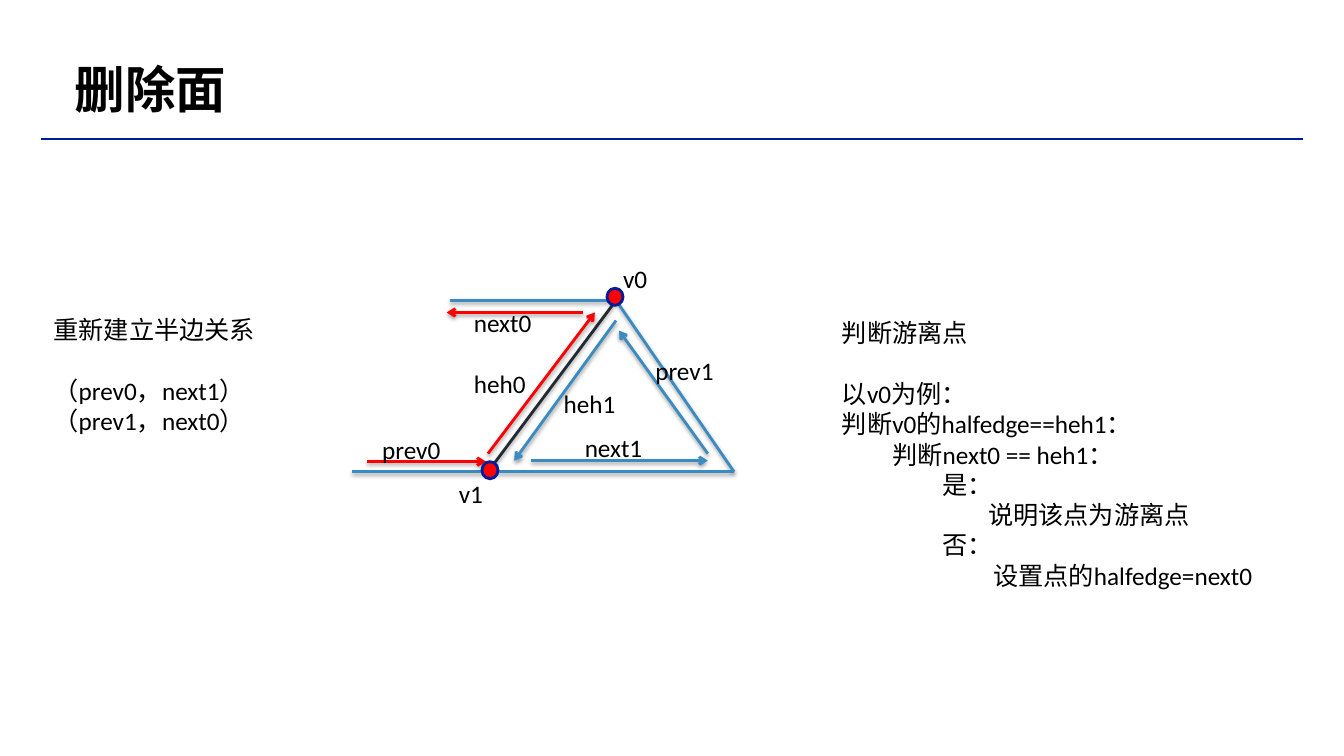
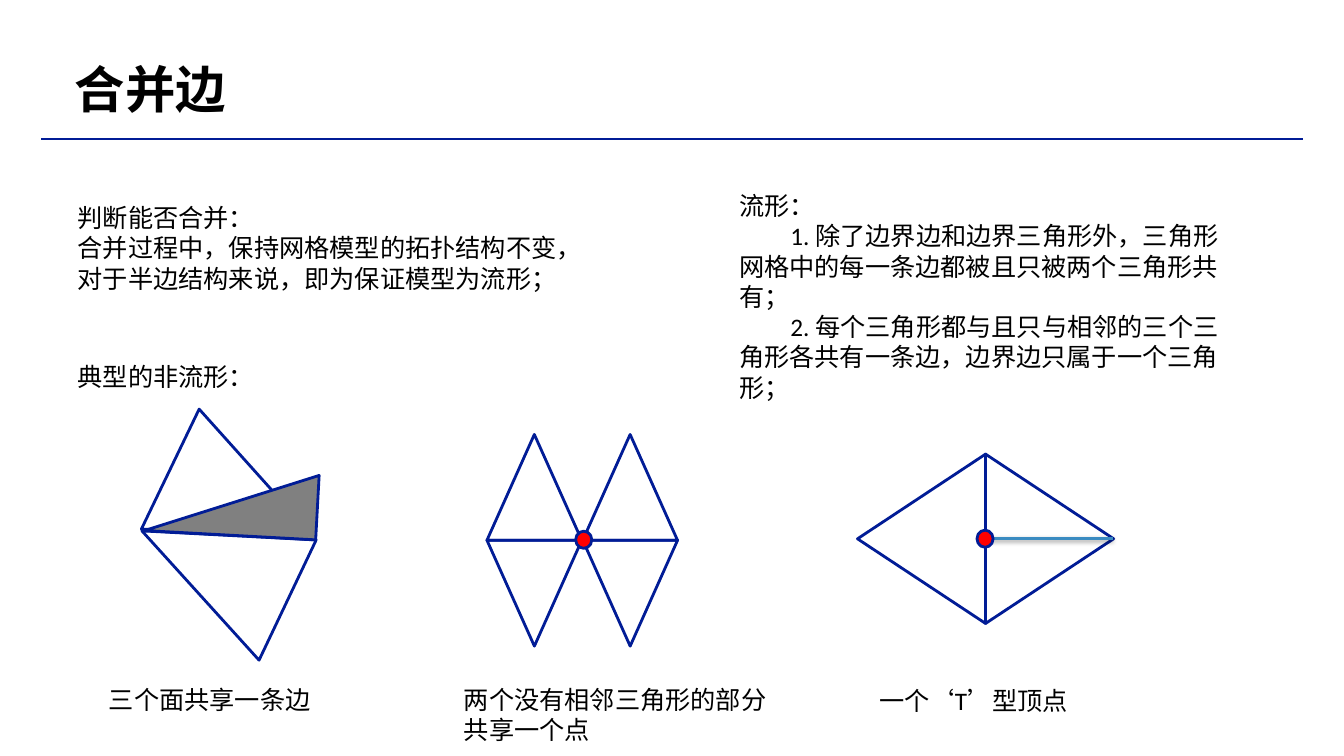
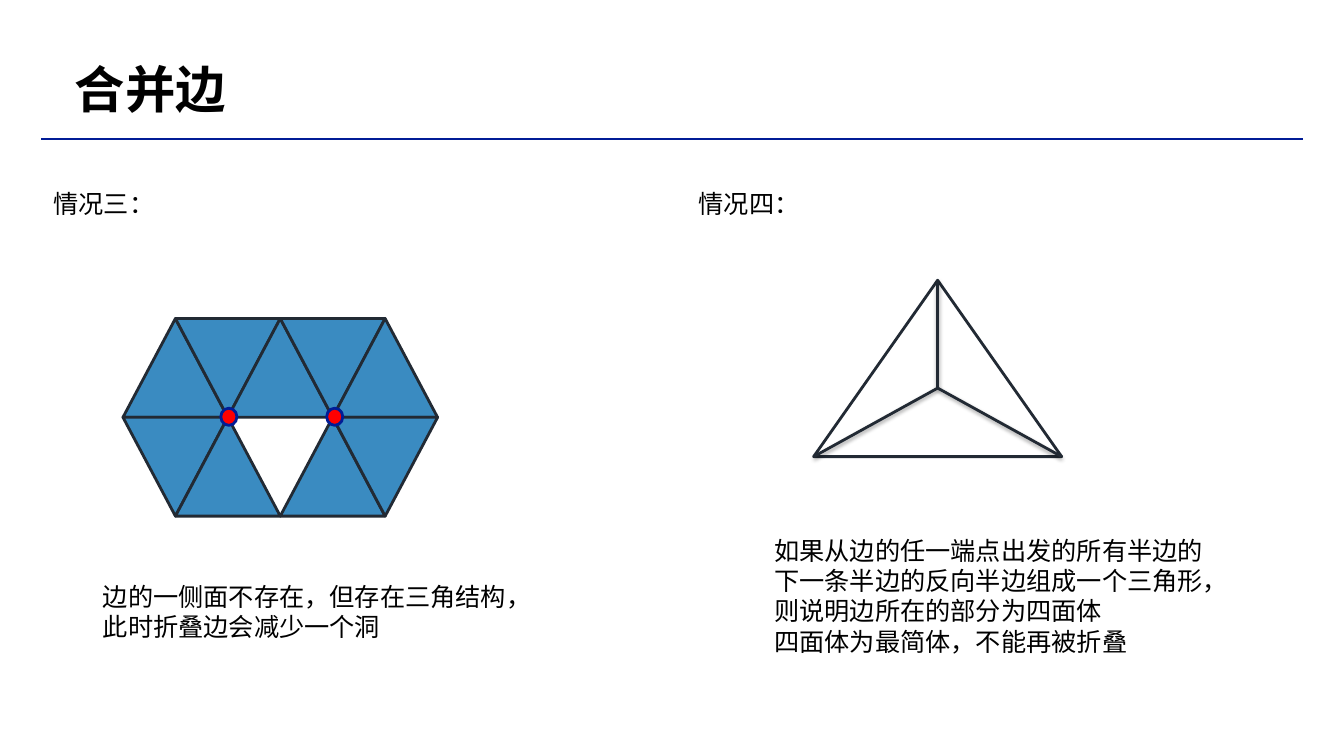
from dataclasses import dataclass
from typing import Optional

from lxml.etree import SubElement
from pptx import Presentation
from pptx.dml.color import RGBColor
from pptx.enum.shapes import MSO_CONNECTOR as Connector, MSO_SHAPE as Preset
from pptx.enum.text import MSO_ANCHOR as Anchor, MSO_AUTO_SIZE as AutoSize, PP_ALIGN as Align
from pptx.oxml.ns import qn
from pptx.util import Inches, Pt

FONT = "Calibri"
BLACK, NAVY, BLUE = "000000", "011C96", "3A8BC1"
SLATE, RED, GRAY = "222A34", "FF0000", "808080"
INSET = 0.05
LINE_HEIGHT = 22
TITLE_ONLY, TITLE_AND_BODY = 5, 1


@dataclass
class Para:
    text: str
    indent: float = 0
    first: float = 0
    before: float = 0


@dataclass
class Label:
    left: float
    top: float
    text: str
    width: float = 1.13


@dataclass
class Edge:
    start: tuple
    end: tuple
    color: str = BLUE
    arrow: bool = False


@dataclass
class Triangle:
    left: float
    top: float
    width: float
    height: float
    rotation: float = 0
    fill: Optional[str] = None
    color: str = NAVY
    preset: Preset = Preset.ISOSCELES_TRIANGLE
    flipped: bool = False


def rgb(value: str) -> RGBColor:
    """Turn a hex string into a colour."""
    return RGBColor.from_string(value)


def write(frame, paras: list, size: float = 18, bold: bool = False,
          anchor: Anchor = Anchor.TOP, fit: AutoSize = AutoSize.SHAPE_TO_FIT_TEXT,
          line_spacing: float = 1.0) -> None:
    """Fill a text frame with formatted paragraphs."""
    frame.word_wrap = True
    frame.auto_size = fit
    frame.vertical_anchor = anchor
    frame.margin_left = frame.margin_right = Inches(INSET)
    frame.margin_top = frame.margin_bottom = Inches(INSET)
    for index, item in enumerate(paras):
        para = frame.add_paragraph() if index else frame.paragraphs[0]
        para.alignment = Align.LEFT
        para.space_before = Pt(item.before)
        para.line_spacing = line_spacing
        properties = para._p.get_or_add_pPr()
        properties.set("marL", str(Inches(item.indent)))
        properties.set("indent", str(Inches(item.first)))
        SubElement(properties, qn("a:buNone"))
        span = para.add_run()
        span.text = item.text
        span.font.name = FONT
        span.font.size = Pt(size)
        span.font.bold = bold
        span.font.color.rgb = rgb(BLACK)


def place(shape, left: float, top: float, width: float, height: float) -> None:
    """Move and size a placeholder."""
    shape.left, shape.top = Inches(left), Inches(top)
    shape.width, shape.height = Inches(width), Inches(height)


def add_text(page, left: float, top: float, width: float, *paras: Para,
             height: float = 0.4) -> None:
    """Add a text box that holds the paragraphs."""
    box = page.shapes.add_textbox(Inches(left), Inches(top), Inches(width), Inches(height))
    write(box.text_frame, list(paras))


def add_label(page, label: Label) -> None:
    """Add a one-paragraph text box."""
    add_text(page, label.left, label.top, label.width, Para(label.text))


def add_edge(page, edge: Edge, weight: float = 2, shadow: bool = True) -> None:
    """Draw a straight line, with an arrowhead and a soft shadow if wanted."""
    points = [Inches(value) for value in (*edge.start, *edge.end)]
    line = page.shapes.add_connector(Connector.STRAIGHT, *points)
    line.line.color.rgb = rgb(edge.color)
    line.line.width = Pt(weight)
    properties = line._element.spPr
    if edge.arrow:
        SubElement(properties.find(qn("a:ln")), qn("a:tailEnd"), type="arrow")
    effects = SubElement(properties, qn("a:effectLst"))
    if shadow:
        outer = SubElement(effects, qn("a:outerShdw"), blurRad=str(Pt(3)),
                           dist=str(Pt(1.6)), dir="5400000", rotWithShape="0")
        color = SubElement(outer, qn("a:srgbClr"), val=BLACK)
        SubElement(color, qn("a:alpha"), val="38000")


def add_outline(page, preset: Preset, left: float, top: float, width: float,
                height: float, fill: Optional[str], color: str):
    """Add a flat preset shape with a two-point outline."""
    shape = page.shapes.add_shape(preset, Inches(left), Inches(top),
                                  Inches(width), Inches(height))
    shape.shadow.inherit = False
    if fill:
        shape.fill.solid()
        shape.fill.fore_color.rgb = rgb(fill)
    else:
        shape.fill.background()
    shape.line.color.rgb = rgb(color)
    shape.line.width = Pt(2)
    return shape


def add_triangle(page, triangle: Triangle) -> None:
    """Draw one mesh face."""
    shape = add_outline(page, triangle.preset, triangle.left, triangle.top, triangle.width,
                        triangle.height, triangle.fill, triangle.color)
    shape.rotation = triangle.rotation
    if triangle.flipped:
        shape._element.spPr.find(qn("a:xfrm")).set("flipH", "1")


def add_vertex(page, left: float, top: float) -> None:
    """Draw a red mesh vertex."""
    add_outline(page, Preset.OVAL, left, top, 0.16, 0.17, RED, NAVY)


def start_page(deck, title: str, layout: int = TITLE_ONLY):
    """Add a slide with the shared title and rule."""
    page = deck.slides.add_slide(deck.slide_layouts[layout])
    place(page.shapes.title, 0.69, 0.58, 7.63, 0.66)
    write(page.shapes.title.text_frame, [Para(title)], size=36, bold=True,
          anchor=Anchor.MIDDLE, fit=AutoSize.NONE, line_spacing=0.9)
    add_edge(page, Edge((0.41, 1.38), (12.92, 1.38), NAVY), weight=1.5, shadow=False)
    return page


def build_delete_face(deck) -> None:
    """Build the slide on deleting a face."""
    page = start_page(deck, "删除面")
    add_text(page, 0.48, 3.07, 2.68, Para("重新建立半边关系"),
             Para("（prev0，next1）", before=LINE_HEIGHT), Para("（prev1，next0）"), height=1.62)
    v0, v1, corner = (6.11, 2.98), (4.84, 4.68), (7.28, 4.68)
    edges = [
        Edge(v0, v1, SLATE),
        Edge(v0, corner),
        Edge(v1, corner),
        Edge(v0, (4.46, 2.98)),
        Edge(v1, (3.49, 4.68)),
        Edge((4.84, 4.5), (5.9, 3.1), RED, True),
        Edge((5.78, 3.1), (4.43, 3.1), RED, True),
        Edge((3.64, 4.58), (4.82, 4.58), RED, True),
        Edge((6.11, 3.18), (5.1, 4.57), BLUE, True),
        Edge((5.27, 4.57), (7.02, 4.57), BLUE, True),
        Edge((7.02, 4.5), (6.14, 3.28), BLUE, True),
    ]
    for edge in edges:
        add_edge(page, edge)
    labels = [
        Label(3.74, 4.26, "prev0"), Label(4.65, 3, "next0"), Label(4.65, 3.6, "heh0"),
        Label(6.45, 3.48, "prev1"), Label(5.75, 4.24, "next1"), Label(5.54, 3.8, "heh1"),
        Label(6.13, 2.56, "v0", 0.38), Label(4.5, 4.7, "v1", 0.38),
    ]
    for label in labels:
        add_label(page, label)
    add_vertex(page, 6.02, 2.86)
    add_vertex(page, 4.78, 4.58)
    add_text(page, 8.3, 3.1, 4.52,
             Para("判断游离点"),
             Para("以v0为例：", before=LINE_HEIGHT),
             Para("判断v0的halfedge==heh1："),
             Para("判断next0 == heh1：", indent=0.5),
             Para("是：", indent=1),
             Para("说明该点为游离点", indent=1.45),
             Para("否：", indent=1),
             Para("设置点的halfedge=next0", indent=1.5), height=2.83)


def build_manifold(deck) -> None:
    """Build the slide on manifold and non-manifold meshes."""
    page = start_page(deck, "合并边", TITLE_AND_BODY)
    add_text(page, 0.72, 1.96, 5.17, Para("判断能否合并："),
             Para("合并过程中，保持网格模型的拓扑结构不变，对于半边结构来说，即为保证模型为流形；"),
             height=1.31)
    body = page.placeholders[1]
    place(body, 7.28, 1.84, 4.96, 2.22)
    write(body.text_frame, [
        Para("流形："),
        Para("1. 除了边界边和边界三角形外，三角形网格中的每一条边都被且只被两个三角形共有；", first=0.51),
        Para("2. 每个三角形都与且只与相邻的三个三角形各共有一条边，边界边只属于一个三角形；", first=0.51),
    ], fit=AutoSize.NONE)
    shared_edge = [
        Triangle(1.47, 4.81, 1.32, 1.6, 295.4),
        Triangle(1.75, 4.2, 1.32, 1.6, 115.7),
        Triangle(1.45, 4.67, 1.7, 0.64, 3.1, GRAY, preset=Preset.RIGHT_TRIANGLE, flipped=True),
    ]
    shared_point = [Triangle(4.83 + 0.95 * column, 4.31 + 1.05 * row, 0.94, 1.05, 180 * row)
                    for column in range(2) for row in range(2)]
    diamond = [Triangle(8.3, 4.71, 1.68, 1.27, 270), Triangle(9.57, 4.71, 1.68, 1.27, 90)]
    for triangle in shared_edge + shared_point + diamond:
        add_triangle(page, triangle)
    add_edge(page, Edge((9.77, 5.34), (11.04, 5.34)))
    add_vertex(page, 5.71, 5.27)
    add_vertex(page, 9.69, 5.26)
    labels = [
        Label(0.72, 3.54, "典型的非流形：", 3.83),
        Label(1.03, 6.74, "三个面共享一条边", 2.6),
        Label(4.55, 6.74, "两个没有相邻三角形的部分共享一个点", 3.12),
        Label(8.67, 6.75, "一个‘T’型顶点", 2.6),
    ]
    for label in labels:
        add_label(page, label)


def build_collapse_cases(deck) -> None:
    """Build the slide on the third and fourth cases."""
    page = start_page(deck, "合并边")
    add_label(page, Label(0.48, 1.82, "情况三：", 2.55))
    width, height, hole = 1.04, 0.98, (1, 2)
    for row in range(2):
        for column in range(5):
            if (row, column) != hole:
                add_triangle(page, Triangle(1.22 + column * width / 2, 3.16 + row * height,
                                            width, height, 180 * ((row + column) % 2),
                                            BLUE, SLATE))
    for left in (2.19, 3.24):
        add_vertex(page, left, 4.05)
    add_text(page, 0.97, 5.72, 4.52, Para("边的一侧面不存在，但存在三角结构，"),
             Para("此时折叠边会减少一个洞"), height=0.71)
    add_label(page, Label(6.88, 1.82, "情况四：", 2.22))
    add_triangle(page, Triangle(8.07, 2.78, 2.46, 1.75, color=SLATE))
    for corner in ((9.3, 2.78), (8.07, 4.53), (10.53, 4.53)):
        add_edge(page, Edge((9.3, 3.85), corner, SLATE))
    add_text(page, 7.63, 5.26, 4.38,
             Para("如果从边的任一端点出发的所有半边的下一条半边的反向半边组成一个三角形，"),
             Para("则说明边所在的部分为四面体"),
             Para("四面体为最简体，不能再被折叠"), height=1.62)


def main() -> None:
    """Build and save the deck."""
    deck = Presentation()
    deck.slide_width, deck.slide_height = Inches(13.33), Inches(7.5)
    build_delete_face(deck)
    build_manifold(deck)
    build_collapse_cases(deck)
    deck.save("out.pptx")


if __name__ == "__main__":
    main()
